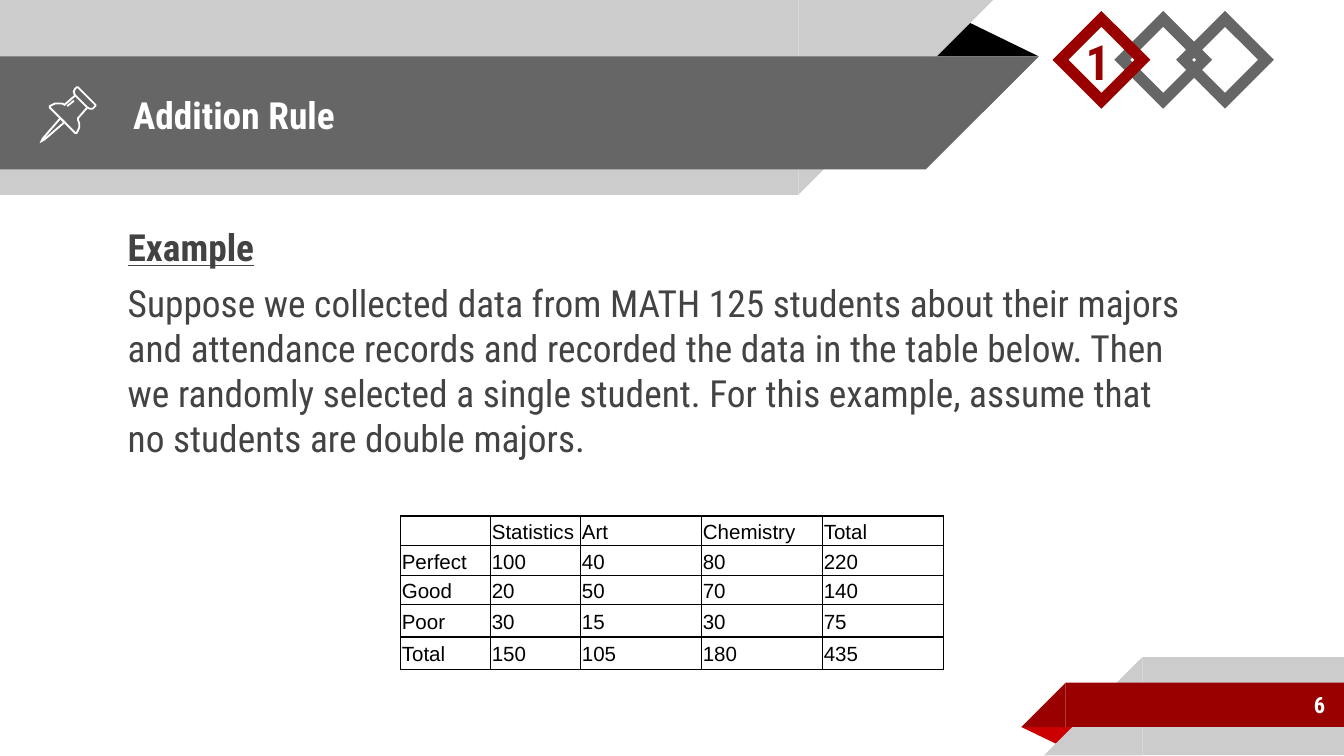
from dataclasses import dataclass

from lxml.etree import SubElement
from pptx import Presentation
from pptx.dml.color import RGBColor
from pptx.enum.shapes import MSO_SHAPE
from pptx.enum.text import MSO_ANCHOR, MSO_AUTO_SIZE, PP_ALIGN
from pptx.oxml.ns import qn
from pptx.util import Inches, Pt


@dataclass(frozen=True)
class Theme:
    heading_font: str = "Roboto Condensed"
    table_font: str = "Arial"
    white: str = "FFFFFF"
    black: str = "000000"
    light: str = "CCCCCC"
    gray: str = "666666"
    text: str = "434343"
    red: str = "990000"
    bright_red: str = "CC0000"
    body_size: int = 20
    number_size: int = 12
    badge_size: int = 26
    table_size: int = 11


THEME = Theme()

TABLE_ROWS = [
    ["", "Statistics", "Art", "Chemistry", "Total"],
    ["Perfect", "100", "40", "80", "220"],
    ["Good", "20", "50", "70", "140"],
    ["Poor", "30", "15", "30", "75"],
    ["Total", "150", "105", "180", "435"],
]

# Pin outlines in hundredths of an inch from the icon's corner: (points, closed)
PIN_OUTLINES = [
    ([(14, 23), (1, 38), (0, 40), (2, 39), (17, 26)], True),
    ([(25, 6), (34, 15), (36, 16), (38, 16), (39, 15), (40, 14), (40, 13),
      (27, 0), (26, 0), (25, 1), (24, 3), (24, 4)], True),
    ([(25, 6), (17, 13), (15, 12), (13, 12), (10, 12), (8, 13), (6, 14),
      (6, 15), (7, 16), (24, 33), (25, 34), (26, 34), (27, 32), (28, 30),
      (28, 27), (27, 24), (27, 23), (34, 15)], False),
    ([(19, 14), (24, 10)], False),
]


def rgb(color):
    return RGBColor.from_string(color)


def paint(shape, fill=None, line=None, width=1):
    shape.shadow.inherit = False
    if fill:
        shape.fill.solid()
        shape.fill.fore_color.rgb = rgb(fill)
    else:
        shape.fill.background()
    if line:
        shape.line.color.rgb = rgb(line)
        shape.line.width = Pt(width)
        outline = shape.element.spPr.find(qn("a:ln"))
        SubElement(outline, qn("a:miter"), {"lim": "800000"})
    else:
        shape.line.fill.background()


def add_preset(page, kind, box, fill=None, line=None, width=1):
    shape = page.shapes.add_shape(kind, *map(Inches, box))
    paint(shape, fill, line, width)
    return shape


def add_fold(page, box, fill, rotation=0):
    fold = add_preset(page, MSO_SHAPE.ISOSCELES_TRIANGLE, box, fill)
    fold.adjustments[0] = 0.324
    fold.rotation = rotation


def add_ribbon(page, box, fill, slant_on_right):
    """Fill the box with a band whose one end is cut at 45 degrees."""
    left, top, width, height = box
    band_left = left if slant_on_right else left + height
    tip_left = left + width - height if slant_on_right else left
    add_preset(page, MSO_SHAPE.RECTANGLE, (band_left, top, width - height, height), fill)
    tip = add_preset(page, MSO_SHAPE.RIGHT_TRIANGLE, (tip_left, top, height, height), fill)
    tip.element.spPr.find(qn("a:xfrm")).set("flipV" if slant_on_right else "flipH", "1")


def style(para, size, color, font=THEME.heading_font, bold=False):
    para.font.name = font
    para.font.size = Pt(size)
    para.font.bold = bold
    para.font.color.rgb = rgb(color)


def set_frame(frame, anchor, inset=0.1):
    frame.word_wrap = True
    frame.auto_size = MSO_AUTO_SIZE.NONE
    frame.vertical_anchor = anchor
    frame.margin_left = frame.margin_right = Inches(inset)
    frame.margin_top = frame.margin_bottom = Inches(inset)


def place(placeholder, box):
    """Move a placeholder to the box and to the front."""
    placeholder.left, placeholder.top, placeholder.width, placeholder.height = map(Inches, box)
    placeholder.element.getparent().append(placeholder.element)


def add_label(page, box, text, size, color, anchor, align=PP_ALIGN.LEFT):
    frame = page.shapes.add_textbox(*map(Inches, box)).text_frame
    set_frame(frame, anchor)
    para = frame.paragraphs[0]
    para.text = text
    para.alignment = align
    style(para, size, color, bold=True)


def add_pin(page, left, top):
    for points, closed in PIN_OUTLINES:
        builder = page.shapes.build_freeform(*points[0], scale=Inches(0.01))
        builder.add_line_segments(points[1:], close=closed)
        paint(builder.convert_to_shape(Inches(left), Inches(top)), line=THEME.white)


def add_header(page, box, title):
    left, top, width, height = box
    add_fold(page, (left + width - 0.85, top + 0.14, 0.85, 0.28), THEME.black)
    add_ribbon(page, (left, top, width - 0.34, height), THEME.light, True)
    add_ribbon(page, (left, top + 0.42, width, 0.84), THEME.gray, True)
    heading = page.shapes.title
    place(heading, (left + 0.89, top + 0.43, 6.01, 0.84))
    set_frame(heading.text_frame, MSO_ANCHOR.MIDDLE)
    para = heading.text_frame.paragraphs[0]
    para.text = title
    para.alignment = PP_ALIGN.LEFT
    style(para, THEME.body_size, THEME.white, bold=True)
    add_pin(page, left + 0.31, top + 0.65)


def add_footer(page, box, number):
    left, top, width, height = box
    add_fold(page, (left, top + 0.52, 0.43, 0.14), THEME.bright_red, rotation=180)
    add_ribbon(page, (left + 0.17, top, width - 0.17, height), THEME.light, False)
    add_ribbon(page, (left, top + 0.19, width, 0.33), THEME.red, False)
    add_label(page, (left + 0.73, top + 0.18, 1.63, 0.35), number, THEME.number_size,
              THEME.white, MSO_ANCHOR.MIDDLE, PP_ALIGN.RIGHT)


def add_progress(page, box, number):
    """Three overlapping diamonds, the first one current and numbered."""
    left, top, width, size = box
    step = (width - size) / 2
    for position, line, fill in [(1, THEME.gray, THEME.white),
                                 (0, THEME.red, None), (2, THEME.gray, None)]:
        add_preset(page, MSO_SHAPE.DIAMOND, (left + position * step, top, size, size),
                   fill, line, 6)
    add_label(page, (left + 0.09, top - 0.09, 0.56, 0.72), number, THEME.badge_size,
              THEME.red, MSO_ANCHOR.BOTTOM)


def add_body(page, box, heading, text):
    body = page.placeholders[1]
    place(body, box)
    frame = body.text_frame
    set_frame(frame, MSO_ANCHOR.TOP)
    frame.text = f"{heading}\n{text}"
    for index, para in enumerate(frame.paragraphs):
        style(para, THEME.body_size, THEME.text, bold=index == 0)
        para.font.underline = index == 0
        para.space_before = Pt(6)
        properties = para._p.get_or_add_pPr()
        properties.set("marL", str(Inches(0.08)))
        properties.set("indent", "0")
        properties.insert_element_before(
            properties.makeelement(qn("a:buNone"), {}), "a:tabLst", "a:defRPr", "a:extLst")


def add_borders(cell):
    properties = cell._tc.get_or_add_tcPr()
    for index, side in enumerate(("lnL", "lnR", "lnT", "lnB")):
        border = properties.makeelement(qn(f"a:{side}"), {"w": str(Pt(0.75))})
        fill = SubElement(border, qn("a:solidFill"))
        SubElement(fill, qn("a:srgbClr"), {"val": THEME.black})
        properties.insert(index, border)


def add_data_table(page, box, rows):
    table = page.shapes.add_table(len(rows), len(rows[0]), *map(Inches, box)).table
    table.first_row = table.horz_banding = False
    for column, width in zip(table.columns, [0.67] * 2 + [0.9] * 3):
        column.width = Inches(width)
    for row, height, values in zip(table.rows, [0.22] * 3 + [0.24] * 2, rows):
        row.height = Inches(height)
        for cell, value in zip(row.cells, values):
            cell.fill.background()
            cell.vertical_anchor = MSO_ANCHOR.MIDDLE
            cell.margin_left = cell.margin_right = cell.margin_top = Inches(0.01)
            cell.margin_bottom = 0
            para = cell.text_frame.paragraphs[0]
            para.text = value
            para.line_spacing = 1.07
            style(para, THEME.table_size, THEME.black, THEME.table_font)
            add_borders(cell)


def main():
    deck = Presentation()
    deck.slide_width = Inches(10)
    deck.slide_height = deck.slide_width * 9 // 16
    page = deck.slides.add_slide(deck.slide_layouts[1])
    add_footer(page, (7.6, 4.89, 2.4, 0.73), "6")
    add_header(page, (0, 0, 7.73, 1.45), "Addition Rule")
    add_body(page, (0.77, 1.57, 8.2, 3.52), "Example",
             "Suppose we collected data from MATH 125 students about their majors and "
             "attendance records and recorded the data in the table below. Then we randomly "
             "selected a single student. For this example, assume that no students are "
             "double majors.")
    add_progress(page, (7.89, 0.14, 1.53, 0.61), "1")
    add_data_table(page, (2.98, 3.84, 4.04, 1.14), TABLE_ROWS)
    deck.save("out.pptx")


if __name__ == "__main__":
    main()
